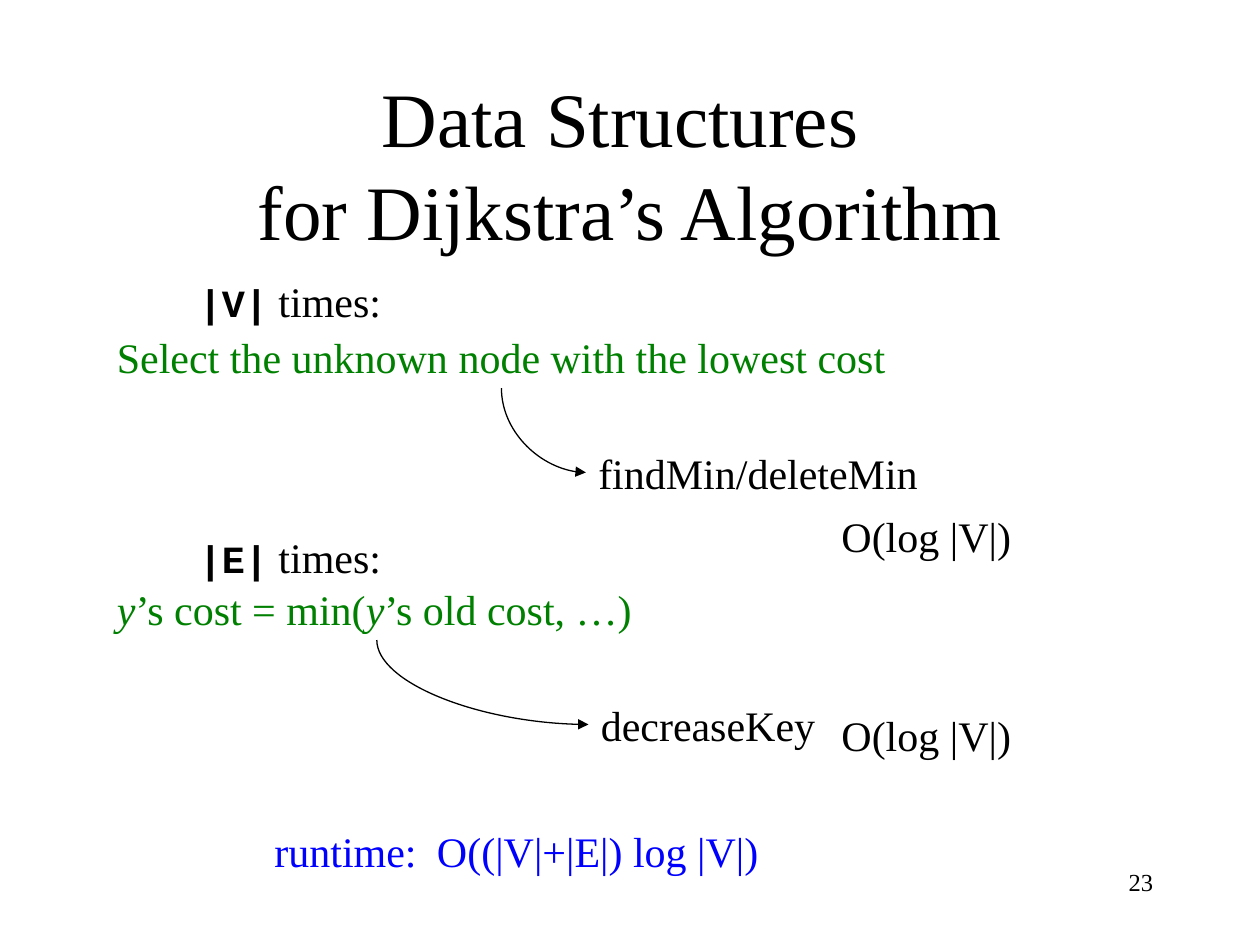
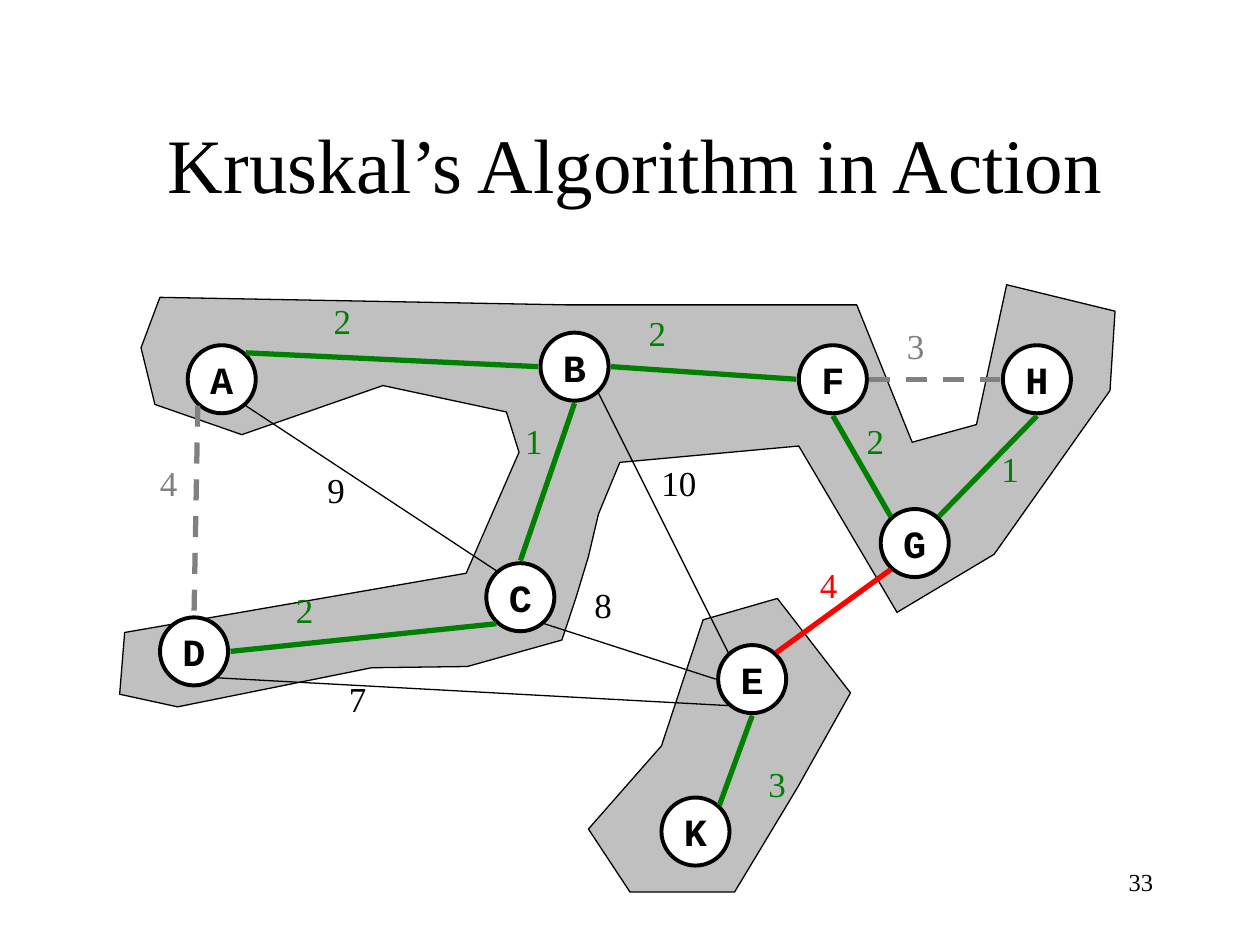
"""Builds two lecture slides on Dijkstra's and Kruskal's algorithms."""
from lxml import etree
from pptx import Presentation
from pptx.dml.color import RGBColor
from pptx.enum.dml import MSO_LINE
from pptx.enum.shapes import MSO_CONNECTOR as Link, MSO_SHAPE
from pptx.enum.text import MSO_ANCHOR as Anchor, MSO_AUTO_SIZE as Fit, PP_ALIGN as Align
from pptx.oxml.ns import qn
from pptx.util import Pt

PX = 9144
SERIF, MONO = "Times New Roman", "Courier New"
BLACK, WHITE, GREEN, BLUE = "000000", "FFFFFF", "008000", "0000FF"
RED, GREY, SILVER = "FF0000", "808080", "C0C0C0"
NODE = 54
SITES = {"n": (0, -29), "s": (0, 29), "w": (-29, 0), "e": (29, 0),
         "nw": (-19, -21), "ne": (19, -21), "sw": (-19, 21), "se": (19, 21)}


def px(*lengths):
    return [round(length * PX) for length in lengths]


def colour(code):
    return RGBColor.from_string(code)


class Deck:
    """Holds the shared style and the slide being built."""

    def __init__(self):
        self.show = Presentation()
        self.show.slide_width, self.show.slide_height = px(1000, 750)
        self.slide = None

    def new_slide(self, heading, box, number):
        self.slide = self.show.slides.add_slide(self.show.slide_layouts[5])
        title = self.slide.shapes.title
        title.left, title.top, title.width, title.height = px(*box)
        frame = title.text_frame
        frame.vertical_anchor, frame.auto_size = Anchor.MIDDLE, Fit.NONE
        frame.text = heading
        self.style(frame.paragraphs[0], 44, align=Align.CENTER)
        self.text(717, 683, 208, 50, str(number), 14, align=Align.RIGHT, wrap=True)

    def style(self, paragraph, size, ink=BLACK, face=SERIF, bold=False, align=Align.LEFT):
        paragraph.alignment = align
        font = paragraph.font
        font.size, font.name, font.bold = Pt(size), face, bold
        font.color.rgb = colour(ink)

    def text(self, left, top, width, height, words, size=24, ink=BLACK,
             align=Align.LEFT, wrap=False):
        frame = self.slide.shapes.add_textbox(*px(left, top, width, height)).text_frame
        frame.word_wrap = wrap
        frame.auto_size = Fit.NONE if wrap else Fit.SHAPE_TO_FIT_TEXT
        paragraph = frame.paragraphs[0]
        paragraph.text = words
        self.style(paragraph, size, ink, align=align)
        return paragraph

    def tab_stop(self, paragraph, position):
        stops = etree.Element(qn("a:tabLst"))
        etree.SubElement(stops, qn("a:tab"), pos=str(px(position)[0]), algn="l")
        paragraph._p.get_or_add_pPr().insert(0, stops)

    def outline(self, shape, fill, weight):
        shape.shadow.inherit = False
        shape.fill.solid()
        shape.fill.fore_color.rgb = colour(fill)
        shape.line.color.rgb = colour(BLACK)
        shape.line.width = Pt(weight)

    def region(self, points):
        builder = self.slide.shapes.build_freeform(*points[0], scale=PX)
        builder.add_line_segments(points[1:], close=True)
        self.outline(builder.convert_to_shape(), SILVER, 0.75)

    def node(self, name, x, y):
        circle = self.slide.shapes.add_shape(
            MSO_SHAPE.OVAL, *px(x - NODE / 2, y - NODE / 2, NODE, NODE))
        self.outline(circle, WHITE, 2.25)
        frame = circle.text_frame
        frame.word_wrap, frame.vertical_anchor = False, Anchor.MIDDLE
        frame.text = name
        self.style(frame.paragraphs[0], 22, face=MONO, bold=True, align=Align.CENTER)

    def line(self, start, end, ink=BLACK, weight=0.75, dashed=False, kind=Link.STRAIGHT):
        link = self.slide.shapes.add_connector(kind, *px(*start, *end))
        link.line.color.rgb = colour(ink)
        link.line.width = Pt(weight)
        if dashed:
            link.line.dash_style = MSO_LINE.DASH
        etree.SubElement(link.element.spPr, qn("a:effectLst"))
        return link

    def curved_arrow(self, start, end):
        (x1, y1), (x2, y2) = start, end
        middle_x, middle_y = (x1 + x2) / 2, (y1 + y2) / 2
        half_run, half_drop = (x2 - x1) / 2, (y2 - y1) / 2
        arrow = self.line((middle_x + half_drop, middle_y - half_run),
                          (middle_x - half_drop, middle_y + half_run), kind=Link.CURVE)
        properties = arrow.element.spPr
        properties.find(qn("a:xfrm")).set("rot", "16200000")
        properties.find(qn("a:prstGeom")).set("prst", "curvedConnector2")
        etree.SubElement(properties.find(qn("a:ln")), qn("a:tailEnd"), type="triangle")


def dijkstra(deck):
    deck.new_slide("Data Structures \vfor Dijkstra’s Algorithm", (75, 67, 850, 125), 23)
    deck.text(83, 258, 630, 50, "Select the unknown node with the lowest cost", ink=GREEN)
    deck.text(465, 350, 277, 50, "findMin/deleteMin")
    deck.curved_arrow((398, 308), (465, 375))

    update = deck.text(83, 458, 432, 50, "", ink=GREEN)
    for words, italic in (("y", True), ("’s cost = min(", False),
                          ("y", True), ("’s old cost, …)", False)):
        part = update.add_run()
        part.text, part.font.italic = words, italic
    deck.text(467, 550, 190, 50, "decreaseKey")
    deck.curved_arrow((299, 508), (467, 575))

    for count, top in (("|V|", 214), ("|E|", 417)):
        repeat = deck.text(148, top, 170, 50, "")
        amount, times = repeat.add_run(), repeat.add_run()
        amount.text, times.text = count, " times:"
        amount.font.name, amount.font.size, amount.font.bold = MONO, Pt(22), True

    runtime = deck.text(208, 650, 404, 50, "runtime:\tO((|V|+|E|) log |V|)", ink=BLUE)
    deck.tab_stop(runtime, 129)
    for top in (400, 558):
        deck.text(658, top, 167, 50, "O(log |V|)", wrap=True)


def kruskal(deck):
    deck.new_slide("Kruskal’s Algorithm in Action", (42, 67, 925, 125), 33)
    deck.region([(467, 658), (525, 592), (558, 492), (617, 475), (675, 550),
                 (633, 625), (583, 708), (500, 708)])
    deck.region([(450, 242), (127, 236), (112, 276), (123, 321), (192, 345), (304, 306),
                 (402, 327), (412, 359), (370, 455), (99, 502), (95, 551), (141, 561),
                 (295, 530), (371, 529), (446, 508), (457, 475), (467, 442), (475, 408),
                 (492, 367), (634, 354), (712, 486), (789, 440), (881, 310), (885, 247),
                 (799, 226), (775, 337), (724, 351), (680, 242)])

    nodes = {"A": (176, 301), "B": (456, 291), "C": (413, 474), "D": (154, 517),
             "E": (597, 539), "F": (661, 301), "G": (726, 431), "H": (823, 301),
             "K": (552, 660)}
    for name, centre in nodes.items():
        deck.node(name, *centre)

    looks = {"chosen": (GREEN, 3), "rejected": (GREY, 3, True),
             "current": (RED, 3), "waiting": (BLACK, 0.75)}
    edges = [("A", "ne", "B", "w", "chosen", 2, 255, 233),
             ("B", "s", "C", "n", "chosen", 1, 407, 328),
             ("D", "e", "C", "sw", "chosen", 2, 225, 462),
             ("A", "sw", "D", "n", "rejected", 4, 117, 361),
             ("C", "se", "E", "w", "waiting", 8, 462, 458),
             ("E", "sw", "D", "se", "waiting", 7, 267, 533),
             ("G", "nw", "F", "s", "chosen", 2, 678, 328),
             ("F", "e", "H", "w", "rejected", 3, 710, 253),
             ("H", "s", "G", "ne", "chosen", 1, 785, 350),
             ("B", "e", "F", "w", "chosen", 2, 505, 242),
             ("B", "se", "E", "nw", "waiting", 10, 515, 361),
             ("A", "se", "C", "nw", "waiting", 9, 250, 367),
             ("E", "ne", "G", "sw", "current", 4, 641, 442),
             ("E", "s", "K", "ne", "chosen", 3, 600, 600)]
    for origin, leave, target, enter, state, cost, left, top in edges:
        start, end = [[c + d for c, d in zip(nodes[name], SITES[side])]
                      for name, side in ((origin, leave), (target, enter))]
        deck.line(start, end, *looks[state])
        deck.text(left, top, 20 + 14 * len(str(cost)), 44, str(cost), 20, looks[state][0])


def main():
    deck = Deck()
    dijkstra(deck)
    kruskal(deck)
    deck.show.save("out.pptx")


if __name__ == "__main__":
    main()
